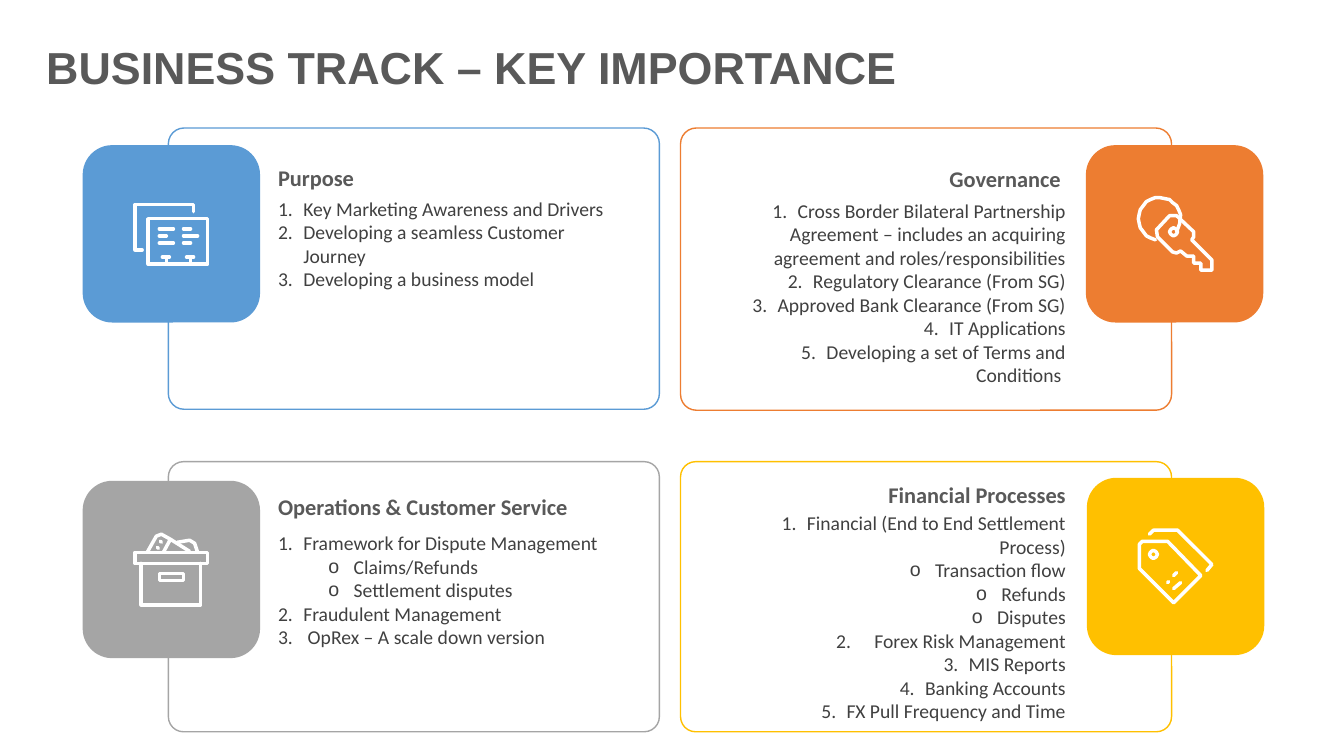
import math
from lxml import etree
from pptx import Presentation
from pptx import util as u
from pptx.dml.color import RGBColor
from pptx.enum import shapes, text
from pptx.oxml.ns import qn

PX = 9144
COLORS = {
    "title": "595959", "body": "404040", "white": "FFFFFF", "blue": "5B9BD5",
    "orange": "ED7D31", "gray": "A5A5A5", "gold": "FFC000",
}
BULLETS = {
    "num": ("arabicPeriod", 1, 0, 25, 25),
    "num2": ("arabicPeriod", 2, 0, 25, 25),
    "wide2": ("arabicPeriod", 2, 0, 38, 38),
    "dot": (None, 1, 0, 25, 25),
    "sub": (None, 1, 1, 75, 25),
}
LEFT, RIGHT = text.PP_ALIGN.LEFT, text.PP_ALIGN.RIGHT


def px(n):
    return u.Emu(round(n * PX))


def rgb(name):
    return RGBColor.from_string(COLORS[name])


def circle(cx, cy, radius, start=0, end=360, step=13):
    return [(cx + radius * math.cos(math.radians(a)), cy + radius * math.sin(math.radians(a)))
            for a in range(start, end + 1, step)]


def rect(left, top, right, bottom):
    return [(left, top), (right, top), (right, bottom), (left, bottom), (left, top)]


BOARDS = [
    [(141, 248), (134, 248), (134, 203), (192, 203), (192, 210)],
    rect(147, 217, 206, 262),
    *[[(left, y), (right, y)] for left, right, y in (
        (158, 172, 227), (182, 189, 227), (158, 165, 234), (182, 196, 234),
        (158, 172, 241), (182, 189, 241), (161, 168, 255), (185, 192, 255))],
    [(165, 255), (165, 262)], [(189, 255), (189, 262)],
]
KEY = [
    circle(1150, 217, 21, 102, 349),
    [(1148, 235), (1147, 228), (1160, 214), (1167, 214), (1184, 230), (1184, 235),
     (1182, 238), (1202, 258), (1202, 268), (1191, 268), (1191, 261), (1184, 261),
     (1184, 254), (1177, 254), (1171, 249), (1167, 251), (1163, 250), (1148, 235)],
    circle(1164, 230, 4, step=30),
    [(1167, 230), (1170, 222), (1171, 213)],
]
BOX = [
    rect(134, 548, 206, 559), rect(158, 569, 182, 576),
    [(140, 559), (140, 600), (199, 600), (199, 559)],
    [(146, 548), (155, 532), (160, 530), (169, 535), (162, 548)],
    [(169, 535), (188, 547)],
    [(176, 538), (188, 536), (193, 539), (196, 548)],
    [(156, 543), (157, 544)], [(159, 537), (160, 538)],
]
TAGS = [
    [(1130, 540), (1133, 537), (1158, 537), (1191, 571), (1164, 598), (1130, 564), (1130, 540)],
    circle(1144, 550, 4, step=30),
    [(1140, 530), (1144, 526), (1168, 526), (1202, 560), (1197, 566)],
    [(1164, 584), (1171, 578)], [(1158, 578), (1159, 577)], [(1164, 571), (1167, 568)],
]

CARDS = [
    ("blue", (167, 127, 487, 279), (82, 144), (266, 147, 266), "Purpose", (266, 190, 128), LEFT, BOARDS, [
        ("num", "Key Marketing Awareness and Drivers"),
        ("num", "Developing a seamless Customer Journey"),
        ("num", "Developing a business model")]),
    ("orange", (675, 127, 487, 280), (1077, 144), (801, 148, 266), "Governance ", (697, 192, 199), RIGHT, KEY, [
        ("num", "Cross Border Bilateral Partnership Agreement – includes an acquiring "
                "agreement and roles/responsibilities"),
        ("num", "Regulatory Clearance (From SG)"),
        ("num", "Approved Bank Clearance (From SG)"),
        ("num", "IT Applications"),
        ("num", "Developing a set of Terms and Conditions ")]),
    ("gray", (167, 458, 487, 268), (82, 477), (266, 474, 359), "Operations & Customer Service",
     (266, 522, 128), LEFT, BOX, [
        ("num", "Framework for Dispute Management"),
        ("sub", "Claims/Refunds"),
        ("sub", "Settlement disputes"),
        ("num", "Fraudulent Management"),
        ("num", " OpRex – A scale down version")]),
    ("gold", (675, 458, 487, 268), (1078, 474), (801, 462, 266), "Financial Processes",
     (697, 502, 222), RIGHT, TAGS, [
        ("num", "Financial (End to End Settlement Process)"),
        ("dot", "Transaction flow"),
        ("dot", "Refunds"),
        ("dot", "Disputes"),
        ("wide2", "Forex Risk Management"),
        ("num2", "MIS Reports"),
        ("num2", "Banking Accounts"),
        ("num2", "FX Pull Frequency and Time")]),
]


def add_round(s, box, color, filled):
    sp = s.shapes.add_shape(shapes.MSO_SHAPE.ROUNDED_RECTANGLE, *map(px, box))
    sp.shadow.inherit = False
    if filled:
        sp.fill.solid()
        sp.fill.fore_color.rgb = rgb(color)
        sp.line.fill.background()
    else:
        sp.adjustments[0] = 0.056
        sp.fill.background()
        sp.line.color.rgb = rgb(color)
        sp.line.width = u.Pt(1)


def add_icon(s, strokes):
    fb = None
    for first, *rest in strokes:
        if fb is None:
            fb = s.shapes.build_freeform(*first, scale=PX)
        else:
            fb.move_to(*first)
        fb.add_line_segments(rest, close=rest[-1] == first)
    sp = fb.convert_to_shape()
    sp.shadow.inherit = False
    sp.fill.background()
    sp.line.color.rgb = rgb("white")
    sp.line.width = u.Pt(2.5)
    ln = sp._element.spPr.find(qn("a:ln"))
    ln.set("cap", "rnd")
    etree.SubElement(ln, qn("a:round"))


def add_box(s, box):
    tf = s.shapes.add_textbox(*map(px, box)).text_frame
    tf.word_wrap = True
    return tf


def add_run(p, words, size, color, font="Calibri", bold=False):
    r = p.add_run()
    r.text = words
    r.font.size = u.Pt(size)
    r.font.name = font
    r.font.bold = bold
    r.font.color.rgb = rgb(color)


def set_bullet(p, kind):
    scheme, start, level, left, hang = BULLETS[kind]
    p.level = level
    ppr = p._p.get_or_add_pPr()
    ppr.set("marL", str(px(left)))
    ppr.set("indent", str(-px(hang)))
    etree.SubElement(ppr, qn("a:buFont"), typeface="Calibri" if scheme else "Arial")
    if scheme:
        bu = etree.SubElement(ppr, qn("a:buAutoNum"), type=scheme)
        if start > 1:
            bu.set("startAt", str(start))
    else:
        etree.SubElement(ppr, qn("a:buChar"), char="o")


def add_title(s, words):
    tf = add_box(s, (36, 38, 1200, 62))
    tf.vertical_anchor = text.MSO_ANCHOR.MIDDLE
    p = tf.paragraphs[0]
    p.line_spacing = 0.9
    add_run(p, words, 32, "title", "Arial", True)


def add_heading(s, place, words, align):
    tf = add_box(s, (*place, 48))
    p = tf.paragraphs[0]
    p.alignment = align
    p.line_spacing = 1.4
    add_run(p, words, 16, "title", bold=True)


def add_list(s, place, items, align):
    left, top, height = place
    tf = add_box(s, (left, top, 370, height))
    for i, (kind, words) in enumerate(items):
        p = tf.add_paragraph() if i else tf.paragraphs[0]
        p.alignment = align
        set_bullet(p, kind)
        add_run(p, words, 14, "body")


def add_card(s, color, frame, tile, head_place, head, list_place, align, icon, items):
    add_round(s, frame, color, False)
    add_round(s, (*tile, 176, 176), color, True)
    add_heading(s, head_place, head, align)
    add_list(s, list_place, items, align)
    add_icon(s, icon)


def main():
    prs = Presentation()
    prs.slide_width, prs.slide_height = px(1333), px(750)
    s = prs.slides.add_slide(prs.slide_layouts[6])
    add_title(s, "BUSINESS TRACK – KEY IMPORTANCE")
    for card in CARDS:
        add_card(s, *card)
    prs.save("out.pptx")


if __name__ == "__main__":
    main()
